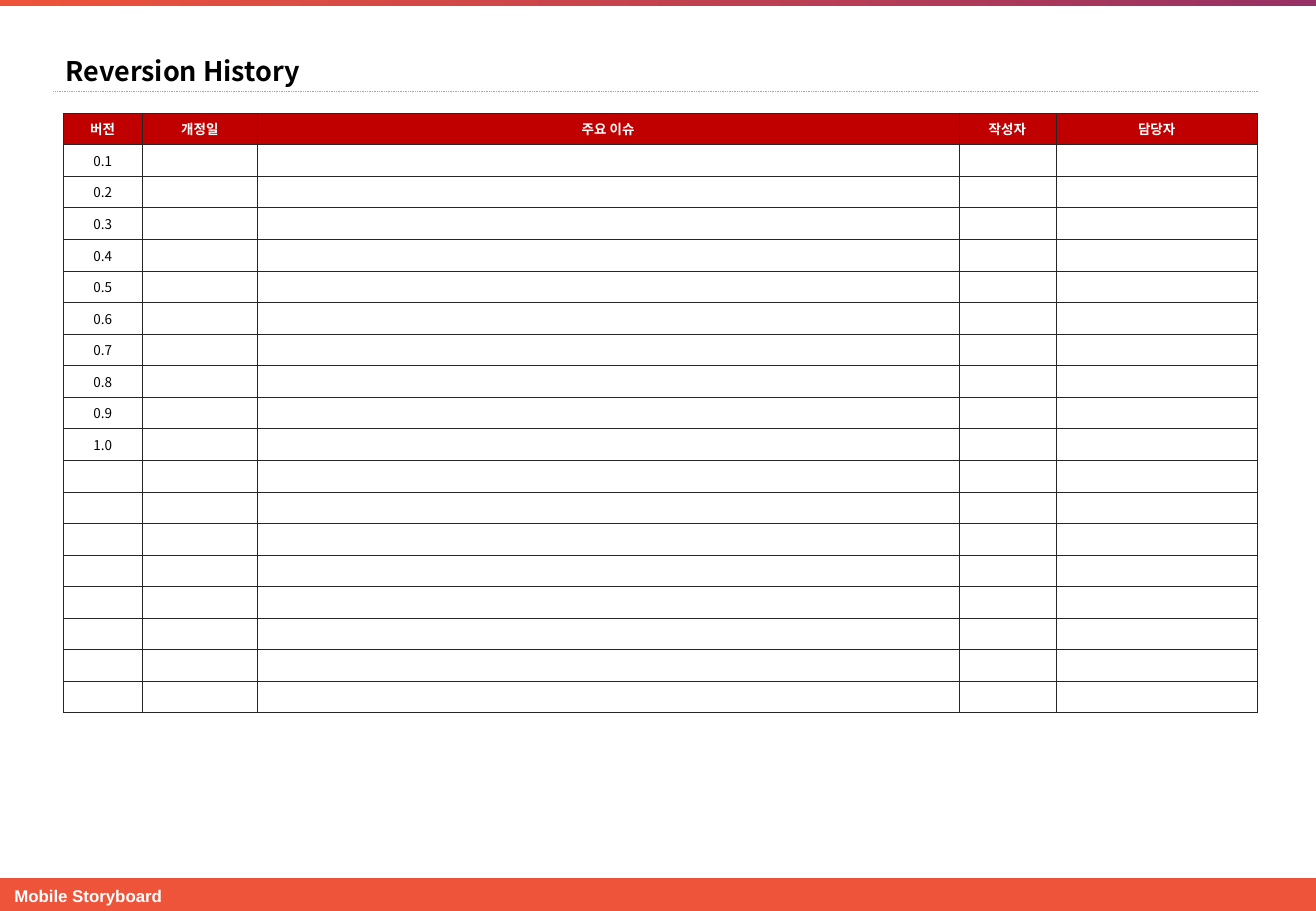
from lxml.etree import SubElement
from pptx import Presentation
from pptx.dml.color import RGBColor
from pptx.enum.dml import MSO_LINE
from pptx.enum.shapes import MSO_CONNECTOR, MSO_SHAPE
from pptx.enum.text import MSO_ANCHOR, PP_ALIGN
from pptx.oxml import parse_xml
from pptx.oxml.ns import nsdecls, qn
from pptx.util import Inches, Pt

FONT = "Noto Sans CJK KR"
ORANGE = RGBColor(0xEE, 0x54, 0x3A)
PURPLE = RGBColor(0x97, 0x31, 0x63)
RED = RGBColor(0xC0, 0x00, 0x00)
GRAY = RGBColor(0xA6, 0xA6, 0xA6)
BORDER = RGBColor(0x26, 0x26, 0x26)
BLACK = RGBColor(0x00, 0x00, 0x00)
WHITE = RGBColor(0xFF, 0xFF, 0xFF)

HEADERS = ["버전", "개정일", "주요 이슈", "작성자", "담당자"]
COL_WIDTHS = [0.65, 0.95, 5.77, 0.8, 1.66]
VERSIONS = [f"{n / 10:.1f}" for n in range(1, 11)]
ROWS = 19
ROW_HEIGHT = 0.26


def set_font(p, size, color, bold, name=FONT):
    p.font.name = name
    p.font.size = Pt(size)
    p.font.bold = bold
    p.font.color.rgb = color
    SubElement(p.font._element, qn("a:ea"), typeface=name)


def set_borders(cell):
    tcPr = cell._tc.get_or_add_tcPr()
    for i, side in enumerate(("lnL", "lnR", "lnT", "lnB")):
        tcPr.insert(i, parse_xml(
            f'<a:{side} {nsdecls("a")} w="{Pt(0.25)}"><a:solidFill>'
            f'<a:srgbClr val="{BORDER}"/></a:solidFill></a:{side}>'))


prs = Presentation()
prs.slide_width, prs.slide_height = Inches(10.83), Inches(7.5)
s = prs.slides.add_slide(prs.slide_layouts[5])

footer_bar = s.shapes.add_shape(
    MSO_SHAPE.RECTANGLE, 0, Inches(7.23), prs.slide_width, Inches(0.27))
footer_bar.fill.solid()
footer_bar.fill.fore_color.rgb = ORANGE

top_bar = s.shapes.add_shape(MSO_SHAPE.RECTANGLE, 0, 0, prs.slide_width, Inches(0.05))
top_bar.fill.gradient()
top_bar.fill.gradient_angle = 0
for stop, color in zip(top_bar.fill.gradient_stops, (ORANGE, PURPLE)):
    stop.color.rgb = color

for bar in (footer_bar, top_bar):
    bar.line.fill.background()
    bar.shadow.inherit = False

footer = s.shapes.add_textbox(Inches(0.02), Inches(7.24), Inches(1.43), Inches(0.27))
footer.text_frame.word_wrap = False
p = footer.text_frame.paragraphs[0]
p.text = "Mobile Storyboard"
set_font(p, 10, WHITE, True, "Arial")

rule = s.shapes.add_connector(
    MSO_CONNECTOR.STRAIGHT, Inches(0.44), Inches(0.75), Inches(10.35), Inches(0.75))
rule.line.color.rgb = GRAY
rule.line.width = Pt(0.5)
rule.line.dash_style = MSO_LINE.ROUND_DOT
SubElement(rule._element.spPr, qn("a:effectLst"))

title = s.shapes.title
title.left, title.top = Inches(0.44), Inches(0.4)
title.width, title.height = Inches(9.36), Inches(0.37)
tf = title.text_frame
tf.vertical_anchor = MSO_ANCHOR.MIDDLE
p = tf.paragraphs[0]
p.text = "Reversion History"
p.alignment = PP_ALIGN.LEFT
set_font(p, 16, BLACK, True)

table = s.shapes.add_table(
    ROWS, len(HEADERS), Inches(0.52), Inches(0.93),
    Inches(sum(COL_WIDTHS)), Inches(ROWS * ROW_HEIGHT)).table
table.horz_banding = False
for column, width in zip(table.columns, COL_WIDTHS):
    column.width = Inches(width)

for r in range(ROWS):
    table.rows[r].height = Inches(ROW_HEIGHT)
    for c, header in enumerate(HEADERS):
        cell = table.cell(r, c)
        cell.vertical_anchor = MSO_ANCHOR.MIDDLE
        p = cell.text_frame.paragraphs[0]
        p.alignment = PP_ALIGN.CENTER
        if r == 0:
            p.text = header
            cell.fill.solid()
            cell.fill.fore_color.rgb = RED
        else:
            if c == 0 and r <= len(VERSIONS):
                p.text = VERSIONS[r - 1]
            cell.fill.background()
        set_font(p, 8, WHITE if r == 0 else BLACK, r == 0)
        if not p.runs:
            end = SubElement(p._p, qn("a:endParaRPr"), sz="800")
            SubElement(end, qn("a:latin"), typeface=FONT)
        set_borders(cell)

prs.save("out.pptx")
